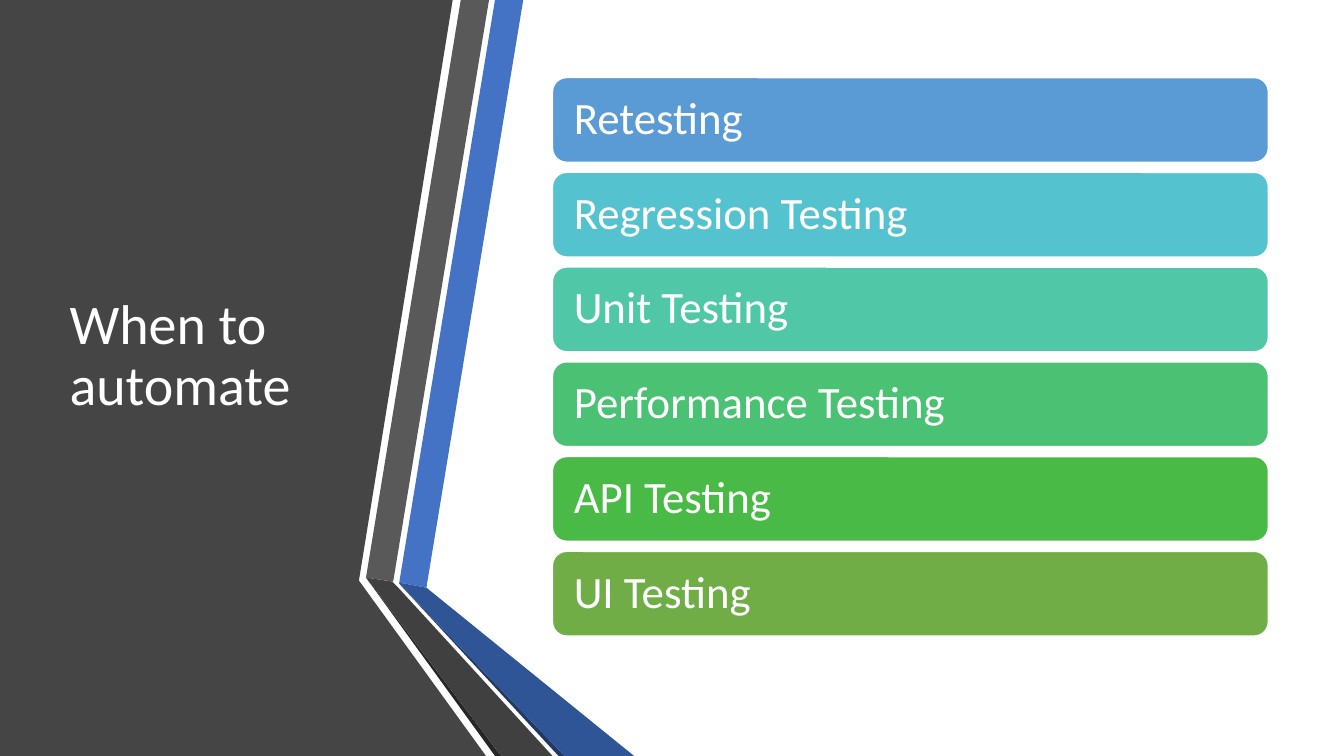
"""Build the slide that lists when to automate tests."""
from dataclasses import dataclass
from typing import NamedTuple

from pptx import Presentation
from pptx.dml.color import RGBColor as RGB
from pptx.enum.shapes import MSO_SHAPE as Kind
from pptx.enum.text import MSO_ANCHOR as Anchor, MSO_AUTO_SIZE as Fit, PP_ALIGN as Align
from pptx.shapes.autoshape import Shape
from pptx.shapes.shapetree import GroupShapes, SlideShapes
from pptx.util import Emu, Pt

SCALE = 9144


@dataclass(frozen=True)
class Theme:
    font: str = "Calibri"
    white: str = "FFFFFF"
    panel: str = "454545"
    blue: str = "4472C4"
    navy: str = "2F5597"
    ink: str = "203864"
    grey: str = "595959"
    dark: str = "404040"
    black: str = "262626"
    head: int = 40
    item: int = 32
    edge: int = 1


class Facet(NamedTuple):
    fill: str
    points: list[tuple[int, int]]


class Bar(NamedTuple):
    label: str
    fill: str


THEME = Theme()

PANEL = Facet(THEME.panel, [(0, 0), (449, 0), (356, 576), (482, 750), (0, 750)])

RIBBONS = [
    Facet(THEME.blue, [(396, 578), (423, 583), (519, 0), (491, 0)]),
    Facet(THEME.grey, [(485, 0), (457, 0), (363, 573), (390, 577)]),
    Facet(THEME.black, [(363, 573), (491, 750), (497, 750)]),
    Facet(THEME.ink, [(396, 579), (554, 750), (560, 750)]),
    Facet(THEME.navy, [(396, 579), (560, 750), (629, 750), (423, 583), (396, 578)]),
    Facet(THEME.dark, [(548, 750), (395, 583), (389, 577), (363, 573), (497, 750)]),
]

BARS = [
    Bar("Retesting", "5B9BD5"),
    Bar("Regression Testing", "55C3CF"),
    Bar("Unit Testing", "50C8A7"),
    Bar("Performance Testing", "4BC174"),
    Bar("API Testing", "4ABA46"),
    Bar("UI Testing", "70AD47"),
]
LEFT, TOP, WIDE, HIGH, STEP = 548, 77, 710, 84, 94


def px(size: int) -> Emu:
    """Turn px into EMU."""
    return Emu(size * SCALE)


def paint(shape: Shape, fill: str) -> None:
    """Give a shape a flat fill without shadow."""
    shape.shadow.inherit = False
    shape.fill.solid()
    shape.fill.fore_color.rgb = RGB.from_string(fill)


def write(shape: Shape, text: str, size: int) -> None:
    """Set white text, left and in the middle."""
    frame = shape.text_frame
    frame.text = text
    frame.word_wrap = True
    frame.auto_size = Fit.NONE
    frame.vertical_anchor = Anchor.MIDDLE
    line = frame.paragraphs[0]
    line.alignment = Align.LEFT
    line.line_spacing = 0.9
    font = line.runs[0].font
    font.name = THEME.font
    font.size = Pt(size)
    font.color.rgb = RGB.from_string(THEME.white)


def draw_facet(shapes: SlideShapes | GroupShapes, facet: Facet) -> None:
    """Draw one filled outline."""
    start, *rest = facet.points
    pen = shapes.build_freeform(*start, scale=SCALE)
    pen.add_line_segments(rest, close=True)
    shape = pen.convert_to_shape()
    paint(shape, facet.fill)
    shape.line.fill.background()


def draw_bar(shapes: GroupShapes, bar: Bar, top: int) -> None:
    """Draw one rounded bar with its label."""
    shape = shapes.add_shape(Kind.ROUNDED_RECTANGLE, px(LEFT), px(top), px(WIDE), px(HIGH))
    paint(shape, bar.fill)
    shape.line.color.rgb = RGB.from_string(THEME.white)
    shape.line.width = Pt(THEME.edge)
    write(shape, bar.label, THEME.item)
    frame = shape.text_frame
    frame.margin_left = frame.margin_right = px(17)


def place_title(title: Shape) -> None:
    """Set the title in front of the panel."""
    title.left, title.top, title.width, title.height = map(px, (59, 75, 304, 558))
    write(title, "When to automate", THEME.head)
    title.element.getparent().append(title.element)


def main() -> None:
    """Build and save the deck."""
    deck = Presentation()
    deck.slide_width, deck.slide_height = px(1333), px(750)
    slide = deck.slides.add_slide(deck.slide_layouts[5])
    shapes = slide.shapes
    draw_facet(shapes, PANEL)
    folds = shapes.add_group_shape().shapes
    for facet in RIBBONS:
        draw_facet(folds, facet)
    place_title(shapes.title)
    stack = shapes.add_group_shape().shapes
    for row, bar in enumerate(BARS):
        draw_bar(stack, bar, TOP + row * STEP)
    deck.save("out.pptx")


if __name__ == "__main__":
    main()
